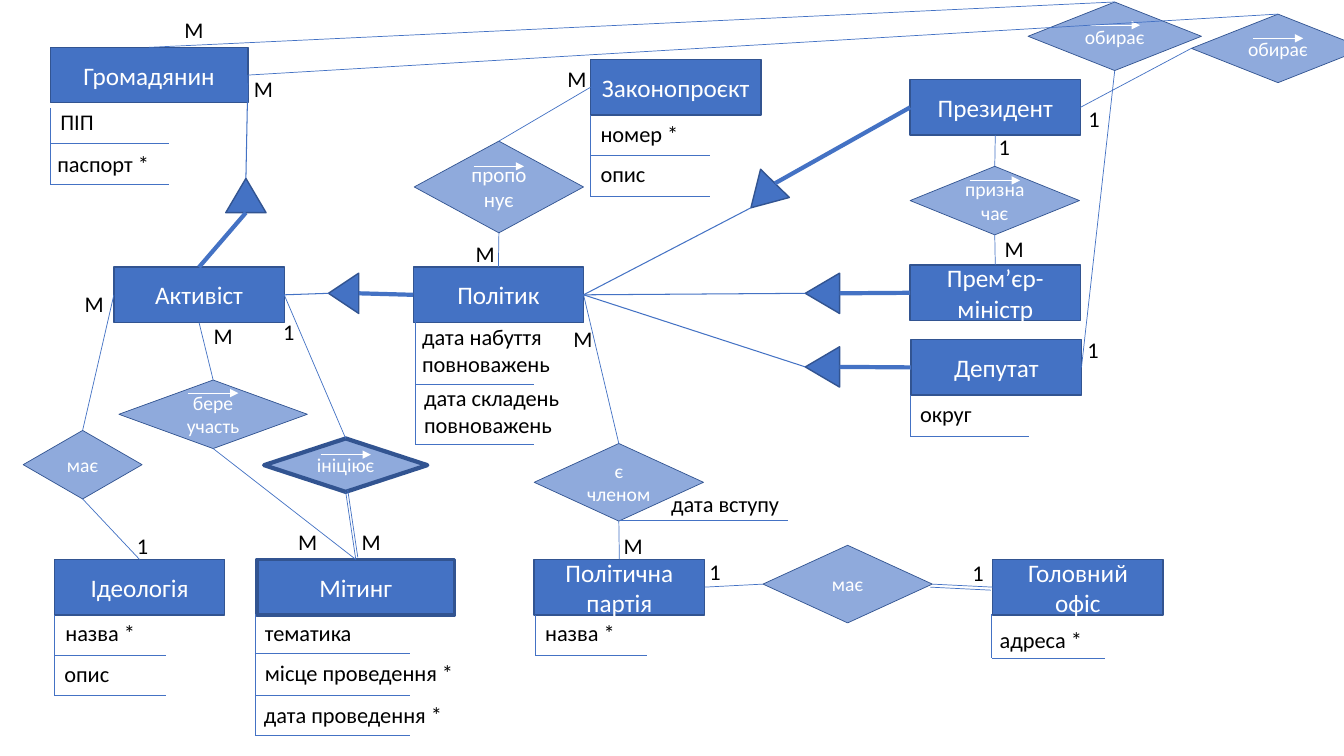
from math import cos, radians, sin

from pptx import Presentation
from pptx.dml.color import RGBColor
from pptx.enum.shapes import MSO_CONNECTOR, MSO_SHAPE
from pptx.enum.text import MSO_ANCHOR, PP_ALIGN
from pptx.oxml.ns import qn
from pptx.util import Cm, Pt
from lxml import etree

STRAIGHT = MSO_CONNECTOR.STRAIGHT
RECTANGLE, DIAMOND = MSO_SHAPE.RECTANGLE, MSO_SHAPE.DIAMOND
TRIANGLE = MSO_SHAPE.ISOSCELES_TRIANGLE
CENTER, LEFT, MIDDLE, TOP = PP_ALIGN.CENTER, PP_ALIGN.LEFT, MSO_ANCHOR.MIDDLE, MSO_ANCHOR.TOP

BLUE = RGBColor(0x44, 0x72, 0xC4)
DARK_BLUE = RGBColor(0x32, 0x54, 0x91)
LIGHT_BLUE = RGBColor(0x8F, 0xAA, 0xDC)
WHITE = RGBColor(0xFF, 0xFF, 0xFF)
BLACK = RGBColor(0, 0, 0)
FONT = "Calibri"
UNIT = 2.54  # centimetres in one layout unit
ENTITY_HEIGHT, ENTITY_WIDTH, WIDE_ENTITY = 0.55, 1.69, 1.96
ARROW_LENGTH = 0.5
SITES = {"top": 0, "left": 1, "bottom": 2, "right": 3}

# key: text, left, top, width, border
ENTITIES = {
    "citizen": ("Громадянин", 0.5, 0.47, WIDE_ENTITY, 1),
    "politician": ("Політик", 4.1, 2.65, ENTITY_WIDTH, 1),
    "activist": ("Активіст", 1.13, 2.65, ENTITY_WIDTH, 1),
    "ideology": ("Ідеологія", 0.54, 5.55, ENTITY_WIDTH, 1),
    "president": ("Президент", 9.03, 0.79, ENTITY_WIDTH, 1),
    "premier": ("Прем’єр-міністр", 9.03, 2.63, ENTITY_WIDTH, 1),
    "deputy": ("Депутат", 9.04, 3.37, ENTITY_WIDTH, 1),
    "bill": ("Законопроєкт", 5.86, 0.59, ENTITY_WIDTH, 1),
    "party": ("Політична партія", 5.3, 5.55, ENTITY_WIDTH, 1),
    "meeting": ("Мітинг", 2.55, 5.55, WIDE_ENTITY, 2.75),
    "office": ("Головний офіс", 9.85, 5.55, ENTITY_WIDTH, 1),
}
# key: text, left, top, width, height, border, size, arrow height (or None)
RELATIONS = {
    "proposes": ("пропонує", 4.11, 1.4, 1.68, 0.91, 0.5, 15, 1.65),
    "member": ("є членом", 5.3, 4.4, 1.68, 0.77, 0.5, 14, None),
    "has ideology": ("має", 0.23, 4.27, 1.18, 0.68, 0.5, 14, None),
    "appoints": ("призначає", 9.03, 1.65, 1.68, 0.68, 0.5, 14, 1.79),
    "initiates": ("ініціює", 2.62, 4.35, 1.62, 0.53, 3, 14, 4.51),
    "has office": ("має", 7.57, 5.41, 1.68, 0.77, 0.5, 14, None),
    "elects deputy": ("обирає", 10.2, 0.02, 1.72, 0.68, 0.5, 14, 0.25),
    "elects president": ("обирає", 11.82, 0.14, 1.72, 0.68, 0.5, 14, 0.38),
    "takes part": ("бере участь", 1.18, 3.77, 1.87, 0.68, 0.5, 14, 3.9),
}
# begin, side, end, side, shift of the second line (or None)
LINKS = [
    ("bill", "left", "proposes", "top", None),
    ("politician", "top", "proposes", "bottom", None),
    ("party", "top", "member", "bottom", None),
    ("politician", "right", "member", "top", None),
    ("ideology", "top", "has ideology", "bottom", None),
    ("activist", "left", "has ideology", "top", None),
    ("meeting", "top", "initiates", "bottom", (0.02, -0.02)),
    ("activist", "right", "initiates", "top", None),
    ("premier", "top", "appoints", "bottom", None),
    ("president", "bottom", "appoints", "top", None),
    ("party", "right", "has office", "left", None),
    ("office", "left", "has office", "right", (-0.02, 0.03)),
    ("activist", "bottom", "takes part", "top", None),
    ("meeting", "top", "takes part", "bottom", None),
    ("deputy", "right", "elects deputy", "bottom", None),
    ("citizen", "top", "elects deputy", "top", None),
    ("president", "right", "elects president", "left", None),
    ("citizen", "right", "elects president", "top", None),
]
# triangle left, top, height, rotation, child, side, parent, side
INHERITANCE = [
    (3.21, 2.76, 0.3, 270, "politician", "left", "activist", "right"),
    (2.24, 1.77, 0.34, 0, "activist", "top", "citizen", "right"),
    (7.37, 1.77, 0.34, 224.5, "president", "left", "politician", "right"),
    (7.96, 2.74, 0.34, 270, "premier", "left", "politician", "right"),
    (7.96, 3.47, 0.34, 270, "deputy", "left", "politician", "right"),
]
TRIANGLE_WIDTH = 0.4
# left, top, rule length, text width, rows of (text, left, top, rule height)
ATTRIBUTES = [
    (0.5, 1.07, 1.18, 1.62, [("ПІП", 0.5, 1.02, 1.42), ("паспорт *", 0.47, 1.44, 1.83)]),
    (0.54, 6.1, 1.11, 1.62, [("назва *", 0.55, 6.09, 6.5), ("опис", 0.54, 6.5, 6.9)]),
    (2.53, 6.09, 1.54, 2.22, [("тематика", 2.53, 6.09, 6.48),
                              ("місце проведення *", 2.53, 6.49, 6.9),
                              ("дата проведення *", 2.52, 6.91, 7.3)]),
    (4.12, 3.19, 1.18, 1.7, [("дата набуття повноважень", 4.09, 3.16, 3.81),
                             ("дата складень повноважень", 4.11, 3.76, 4.41)]),
    (5.86, 1.14, 1.18, 1.62, [("номер *", 5.86, 1.14, 1.54), ("опис", 5.86, 1.54, 1.95)]),
    (5.31, 6.1, 1.11, 1.62, [("назва *", 5.31, 6.09, 6.5)]),
    (9.03, 3.92, 1.18, 1.62, [("округ", 9.03, 3.92, 4.33)]),
    (9.84, 6.09, 1.12, 1.62, [("адреса *", 9.82, 6.16, 6.53)]),
    (6.15, 5.16, 1.67, 1.31, [("дата вступу", 6.56, 4.81, 5.16)]),
]
CARDINALITIES = {
    "1": [(10.7, 0.99), (10.69, 3.29), (2.71, 3.11), (1.26, 5.23), (9.55, 5.5),
          (9.81, 1.27), (6.94, 5.49)],
    "M": [(1.73, 0.11), (6.09, 5.23), (4.62, 2.33), (5.53, 0.6), (5.59, 3.18), (2.02, 3.15),
          (3.49, 5.19), (2.86, 5.19), (0.74, 2.83), (9.87, 2.28), (2.42, 0.7)],
}


def lengths(*values):
    """Turn layout units into slide lengths."""
    return [Cm(value * UNIT) for value in values]


def write(shape, text, size=16, color=BLACK, align=LEFT, anchor=TOP):
    """Put formatted text into a shape."""
    frame = shape.text_frame
    frame.word_wrap, frame.vertical_anchor = True, anchor
    paragraph = frame.paragraphs[0]
    paragraph.alignment = align
    run = paragraph.add_run()
    run.text = text
    run.font.name, run.font.size, run.font.color.rgb = FONT, Pt(size), color


def add_figure(kind, box, fill=BLUE, border=1):
    """Add a filled, outlined shape."""
    shape = slide.shapes.add_shape(kind, *lengths(*box))
    shape.shadow.inherit = False
    shape.fill.solid()
    shape.fill.fore_color.rgb = fill
    shape.line.color.rgb, shape.line.width = DARK_BLUE, Pt(border)
    return shape


def add_label(text, left, top, width, height=0.37):
    """Add a plain text box."""
    write(slide.shapes.add_textbox(*lengths(left, top, width, height)), text)


def add_line(begin, end, width=0.5, color=BLUE, arrow=False):
    """Draw a straight line between two points."""
    connector = slide.shapes.add_connector(STRAIGHT, *lengths(*begin, *end))
    connector.line.color.rgb, connector.line.width = color, Pt(width)
    properties = connector.element.spPr
    if arrow:
        etree.SubElement(properties.find(qn("a:ln")), qn("a:tailEnd"), type="triangle")
    etree.SubElement(properties, qn("a:effectLst"))
    return connector


def side_point(name, side):
    """Return the middle of one side of a named box."""
    left, top, width, height = boxes[name]
    across, down = {"top": (0.5, 0), "left": (0, 0.5), "bottom": (0.5, 1), "right": (1, 0.5)}[side]
    return left + across * width, top + down * height


presentation = Presentation()
presentation.slide_width, presentation.slide_height = Cm(33.87), Cm(19.05)
slide = presentation.slides.add_slide(presentation.slide_layouts[6])
boxes, figures = {}, {}

for name, (text, left, top, width, border) in ENTITIES.items():
    boxes[name] = (left, top, width, ENTITY_HEIGHT)
    figures[name] = add_figure(RECTANGLE, boxes[name], border=border)
    write(figures[name], text, size=18, color=WHITE, align=CENTER, anchor=MIDDLE)

for name, (text, *box, border, size, arrow_height) in RELATIONS.items():
    boxes[name] = box
    figures[name] = add_figure(DIAMOND, box, fill=LIGHT_BLUE, border=border)
    write(figures[name], text, size=size, color=WHITE, align=CENTER, anchor=MIDDLE)
    if arrow_height:
        start = box[0] + (box[2] - ARROW_LENGTH) / 2
        add_line((start, arrow_height), (start + ARROW_LENGTH, arrow_height),
                 color=WHITE, arrow=True)

for begin, begin_side, end, end_side, shift in LINKS:
    points = side_point(begin, begin_side), side_point(end, end_side)
    connector = add_line(*points)
    connector.begin_connect(figures[begin], SITES[begin_side])
    connector.end_connect(figures[end], SITES[end_side])
    if shift:
        add_line(*[(x + shift[0], y + shift[1]) for x, y in points])

for left, top, height, rotation, child, child_side, parent, parent_side in INHERITANCE:
    add_figure(TRIANGLE, (left, top, TRIANGLE_WIDTH, height)).rotation = rotation
    center_x, center_y = left + TRIANGLE_WIDTH / 2, top + height / 2
    reach_x = height / 2 * sin(radians(rotation))
    reach_y = -height / 2 * cos(radians(rotation))
    thick = add_line(side_point(child, child_side), (center_x - reach_x, center_y - reach_y), 3)
    thick.begin_connect(figures[child], SITES[child_side])
    thin = add_line(side_point(parent, parent_side), (center_x + reach_x, center_y + reach_y), 0.75)
    thin.begin_connect(figures[parent], SITES[parent_side])

for left, top, rule_length, text_width, rows in ATTRIBUTES:
    bottom = rows[-1][-1]
    if bottom > top:
        add_line((left, top), (left, bottom))
    for text, text_left, text_top, rule in rows:
        add_line((left, rule), (left + rule_length, rule))
        add_label(text, text_left, text_top, text_width, max(0.37, rule - text_top))

for text, places in CARDINALITIES.items():
    for left, top in places:
        add_label(text, left, top, 0.32)

presentation.save("out.pptx")
